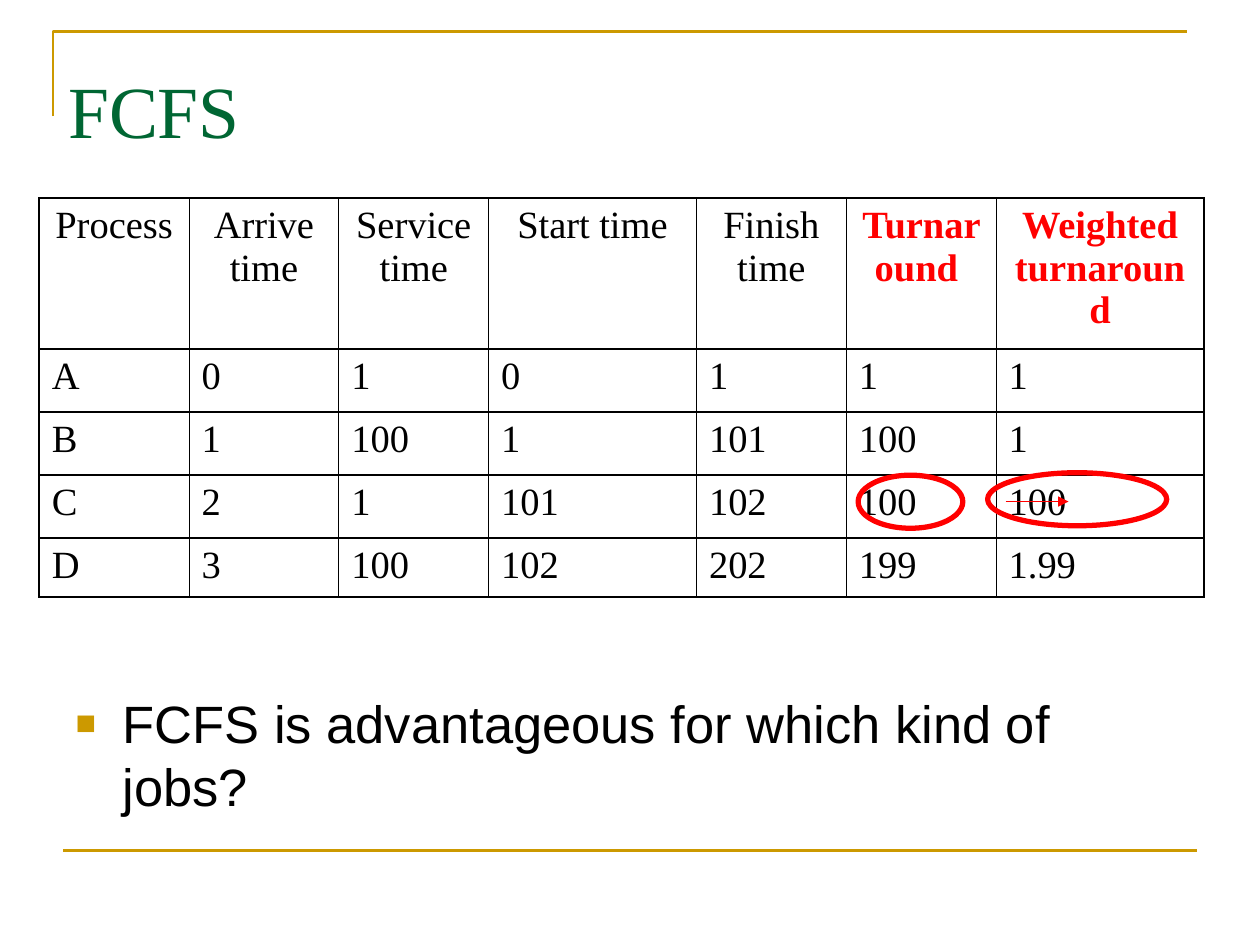
from lxml import etree
from pptx import Presentation
from pptx import util as u
from pptx.dml.color import RGBColor
from pptx.enum import shapes, text
from pptx.oxml import ns

# Content
TITLE = "FCFS"
QUESTION = "FCFS is advantageous for which kind of jobs?"
HEADER = ["Process", "Arrive time", "Service time", "Start time",
          "Finish time", "Turnaround ", "Weighted turnaround"]
ROWS = [
    ["A", "0", "1", "0", "1", "1", "1"],
    ["B", "1", "100", "1", "101", "100", "1"],
    ["C", "2", "1", "101", "102", "100", "100"],
    ["D", "3", "100", "102", "202", "199", "1.99"],
]
FIRST_RESULT_COL = 5  # result headings are bold red from here on

# Look
GOLD = RGBColor(0xCC, 0x99, 0x00)
GREEN = RGBColor(0x00, 0x66, 0x33)
RED = RGBColor(0xFF, 0x00, 0x00)
BLACK = RGBColor(0x00, 0x00, 0x00)
SERIF, SANS = "Times New Roman", "Arial"
THICK, THIN = 1.08, 0.45

# Layout in cm
NARROW, WIDE = 3.02, 4.19
COL_WIDTHS = [NARROW] * 3 + [WIDE] + [NARROW] * 2 + [WIDE]
ROW_HEIGHTS = [3.05, 1.27, 1.27, 1.27, 1.19]
TABLE_LEFT, TABLE_TOP = 0.79, 3.99
RINGS = [(19.91, 9.53, 3.61, 1.07), (17.3, 9.58, 2.11, 1.07)]


def cm(*values):
    return [u.Cm(v) for v in values]


def add_run(p, words, font, size, color, bold=False):
    r = p.add_run()
    r.text = words
    r.font.name, r.font.size, r.font.bold = font, u.Pt(size), bold
    r.font.color.rgb = color


def add_line(s, x1, y1, x2, y2, color, width):
    line = s.shapes.add_connector(shapes.MSO_CONNECTOR.STRAIGHT, *cm(x1, y1, x2, y2))
    line.line.color.rgb, line.line.width = color, u.Pt(width)
    etree.SubElement(line._element.spPr, ns.qn("a:effectLst"))
    return line


def outline(shape, color, width):
    shape.shadow.inherit = False
    shape.fill.background()
    shape.line.color.rgb, shape.line.width = color, u.Pt(width)


def place(shape, left, top, width, height):
    shape.left, shape.top, shape.width, shape.height = cm(left, top, width, height)
    tf = shape.text_frame
    tf.auto_size = text.MSO_AUTO_SIZE.NONE
    tf.vertical_anchor = text.MSO_ANCHOR.TOP
    return tf


def set_borders(cell, widths):
    tc_pr = cell._tc.get_or_add_tcPr()
    for side, width in zip("LRTB", widths):
        ln = etree.SubElement(tc_pr, ns.qn(f"a:ln{side}"), w=str(int(u.Pt(width))))
        fill = etree.SubElement(ln, ns.qn("a:solidFill"))
        etree.SubElement(fill, ns.qn("a:srgbClr"), val=str(BLACK))


def set_bullet(p, char, color, percent, indent):
    p_pr = p._p.get_or_add_pPr()
    p_pr.set("marL", str(int(u.Cm(indent))))
    p_pr.set("indent", str(-int(u.Cm(indent))))
    clr = etree.SubElement(p_pr, ns.qn("a:buClr"))
    etree.SubElement(clr, ns.qn("a:srgbClr"), val=str(color))
    etree.SubElement(p_pr, ns.qn("a:buSzPct"), val=str(percent * 1000))
    etree.SubElement(p_pr, ns.qn("a:buFont"), typeface=SANS)
    etree.SubElement(p_pr, ns.qn("a:buChar"), char=char)


def add_process_table(s):
    grid = [HEADER] + ROWS
    last = len(HEADER) - 1
    frame = s.shapes.add_table(len(grid), len(HEADER), *cm(
        TABLE_LEFT, TABLE_TOP, sum(COL_WIDTHS), sum(ROW_HEIGHTS)))
    table = frame.table
    table.first_row = table.horz_banding = False
    for col, width in zip(table.columns, COL_WIDTHS):
        col.width = u.Cm(width)
    for row, height in zip(table.rows, ROW_HEIGHTS):
        row.height = u.Cm(height)
    for i, values in enumerate(grid):
        for j, value in enumerate(values):
            cell = table.cell(i, j)
            set_borders(cell, (THICK if j == 0 else THIN,
                               THICK if j == last else THIN, THICK, THICK))
            cell.fill.background()
            p = cell.text_frame.paragraphs[0]
            p.space_before = u.Pt(5.5)
            p.alignment = text.PP_ALIGN.LEFT if i else text.PP_ALIGN.CENTER
            strong = i == 0 and j >= FIRST_RESULT_COL
            add_run(p, value, SERIF, 22, RED if strong else BLACK, strong)


def main():
    prs = Presentation()
    prs.slide_width, prs.slide_height = cm(25.4, 19.05)
    s = prs.slides.add_slide(prs.slide_layouts[1])

    # Gold frame lines
    fb = s.shapes.build_freeform(*cm(1.07, 2.34))
    fb.add_line_segments([cm(1.07, 0.64), cm(23.93, 0.64)], close=False)
    outline(fb.convert_to_shape(), GOLD, 1.5)
    add_line(s, 1.27, 17.15, 24.13, 17.15, GOLD, 1.5)

    # Title
    tf = place(s.shapes.title, 1.12, 0.97, 22.6, 1.8)
    tf.margin_top = u.Cm(0.33)
    p = tf.paragraphs[0]
    p.alignment = text.PP_ALIGN.LEFT
    add_run(p, TITLE, SERIF, 42, GREEN)

    # Question
    p = place(s.placeholders[1], 1.27, 13.8, 22.86, 3.2).paragraphs[0]
    p.space_before = u.Pt(0)
    set_bullet(p, "■", GOLD, 65, 0.95)
    add_run(p, QUESTION, SANS, 30, BLACK)

    add_process_table(s)

    # Marks on process C
    for box in RINGS:
        outline(s.shapes.add_shape(shapes.MSO_SHAPE.OVAL, *cm(*box)), RED, 3)
    arrow = add_line(s, 20.27, 10.11, 21.54, 10.11, RED, 0.75)
    etree.SubElement(arrow.line._get_or_add_ln(), ns.qn("a:tailEnd"), type="triangle")

    prs.save("out.pptx")


if __name__ == "__main__":
    main()
